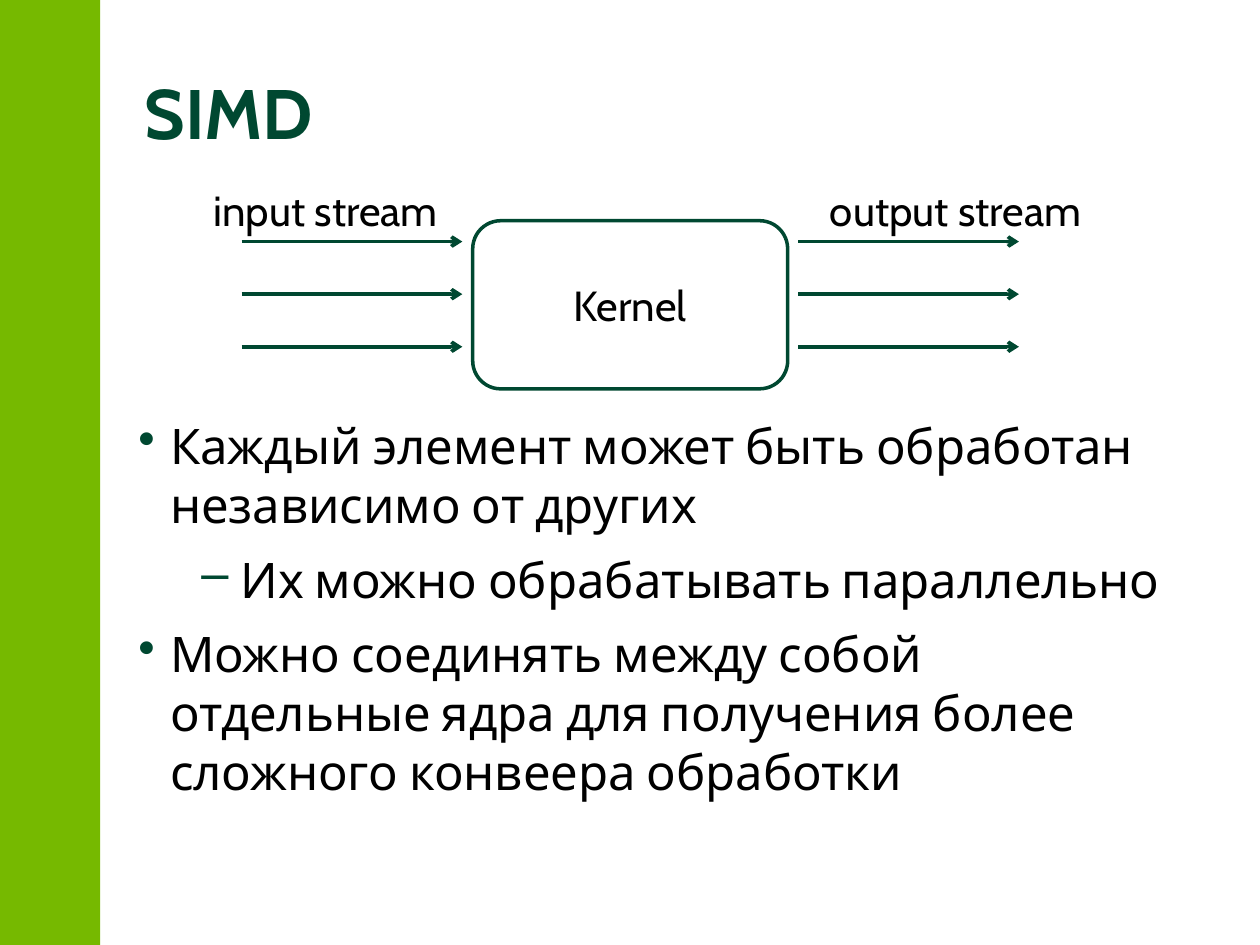
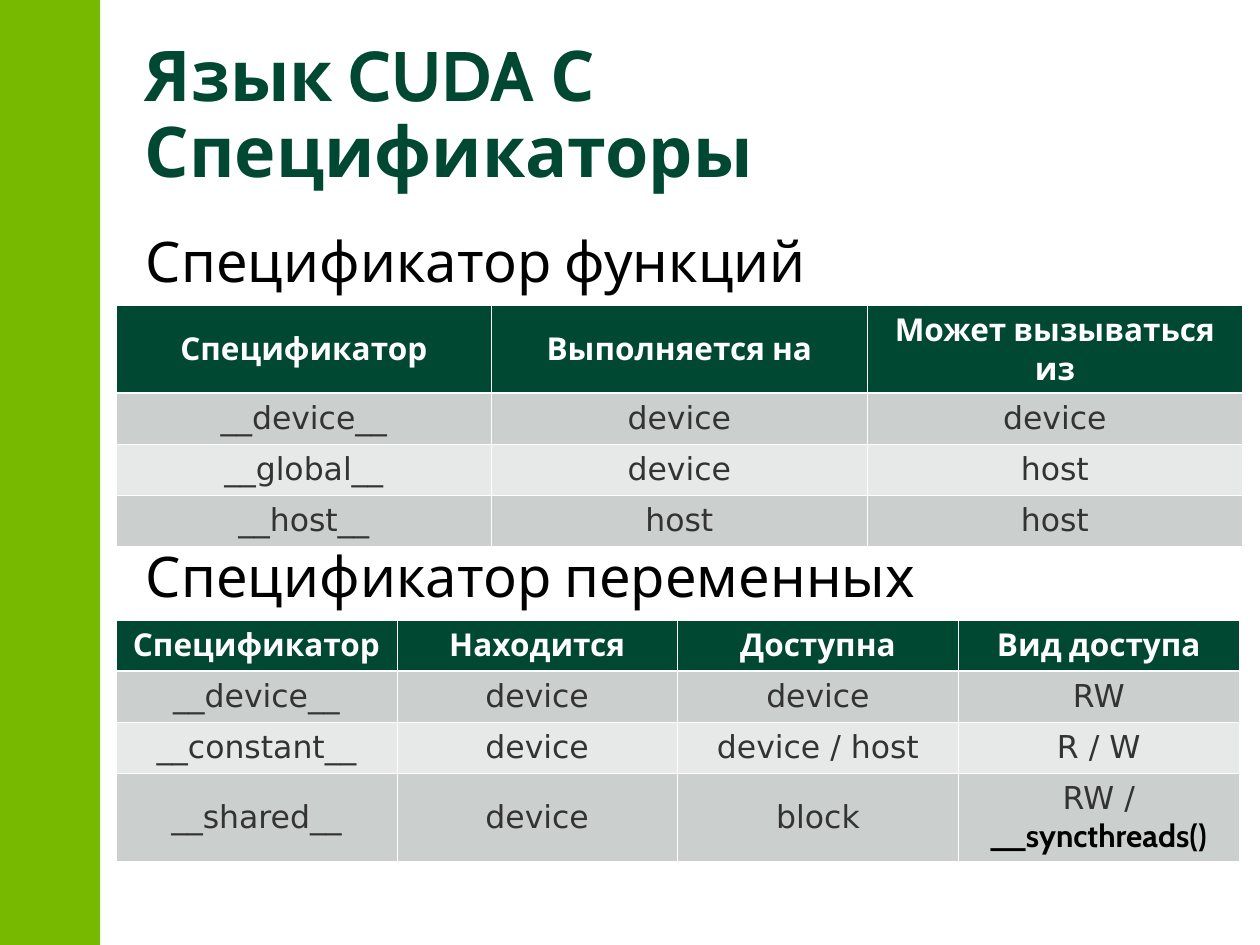
from dataclasses import dataclass

from lxml import etree
from pptx import Presentation
from pptx.dml.color import RGBColor
from pptx.enum.shapes import MSO_CONNECTOR, MSO_SHAPE
from pptx.enum.text import MSO_ANCHOR, PP_ALIGN
from pptx.oxml.ns import qn
from pptx.util import Cm, Pt

STRAIGHT = MSO_CONNECTOR.STRAIGHT
RECTANGLE, ROUNDED = MSO_SHAPE.RECTANGLE, MSO_SHAPE.ROUNDED_RECTANGLE
MIDDLE, CENTER = MSO_ANCHOR.MIDDLE, PP_ALIGN.CENTER


@dataclass(frozen=True)
class Theme:
    band: str = "76B900"
    dark: str = "004831"
    white: str = "FFFFFF"
    black: str = "000000"
    cell_text: str = "333333"
    stripes: tuple = ("CBCFCD", "E7E9E8")
    font: str = "Cabin"
    cell_font: str = "DejaVu Sans"
    title_size: int = 40
    heading_size: int = 32
    body_size: int = 28
    label_size: int = 24
    table_size: int = 18
    line: float = 2
    thin_border: float = 0.45
    thick_border: float = 1.47


THEME = Theme()


def style(size, color=THEME.black, bold=False, name=THEME.font):
    return {"size": Pt(size), "bold": bold, "name": name, "color": color}


TITLE = style(THEME.title_size, THEME.dark, True)
HEADING = style(THEME.heading_size)
BODY = style(THEME.body_size)
LABEL = style(THEME.label_size)
TABLE_HEAD = style(THEME.table_size, THEME.white, True)
TABLE_CELL = style(THEME.table_size, THEME.cell_text, name=THEME.cell_font)
TABLE_CALL = style(THEME.table_size, bold=True)

# Bullet levels: sign, left margin and hanging indent in cm
LEVELS = (("•", 0.64, -0.64), ("–", 2.06, -0.79))

SIMD_TITLE = "SIMD"
SIMD_POINTS = [
    (0, "Каждый элемент может быть обработан независимо от других"),
    (1, "Их можно обрабатывать параллельно"),
    (0, "Можно соединять между собой отдельные ядра для получения более "
        "сложного конвеера обработки"),
]
# Streams: label, label left, label width, arrow left (cm)
STREAMS = [("input stream", 3.6, 5.93, 4.87), ("output stream", 16.09, 6.35, 16.09)]
KERNEL = "Kernel"
ARROW_LENGTH, ARROW_TOP, ARROW_STEP, ARROW_COUNT = 4.45, 4.87, 1.06, 3

SPECIFIERS_TITLE = "Язык CUDA С\vСпецификаторы"
# Sections: heading, heading top, table top, column width, row heights (cm), rows
SECTIONS = [
    ("Спецификатор функций", 4.45, 6.15, 7.57, (1.03, 1.03, 1.03, 1.03), [
        ("Спецификатор", "Выполняется на", "Может вызываться из"),
        ("__device__", "device", "device"),
        ("__global__", "device", "host"),
        ("__host__", "host", "host"),
    ]),
    ("Спецификатор переменных", 10.8, 12.5, 5.66, (1.03, 1.03, 1.03, 1.53), [
        ("Спецификатор", "Находится", "Доступна", "Вид доступа"),
        ("__device__", "device", "device", "RW"),
        ("__constant__", "device", "device / host", "R / W"),
        ("__shared__", "device", "block", ("RW / ", "__syncthreads()")),
    ]),
]


def rgb(color):
    return RGBColor.from_string(color)


def child(parent, tag, **attributes):
    return etree.SubElement(parent, qn(tag), attributes)


def format_span(span, look):
    for key, value in look.items():
        if key == "color":
            span.font.color.rgb = rgb(value)
        else:
            setattr(span.font, key, value)


def write(para, text, look, **settings):
    """Fill a paragraph with one style; a vertical tab breaks the line."""
    para.text = text
    for span in para.runs:
        format_span(span, look)
    for key, value in settings.items():
        setattr(para, key, value)


def add_text(slide, place, anchor=None):
    frame = slide.shapes.add_textbox(*map(Cm, place)).text_frame
    frame.word_wrap = True
    if anchor is not None:
        frame.vertical_anchor = anchor
    return frame


def add_box(slide, kind, place, fill, outline=None):
    box = slide.shapes.add_shape(kind, *map(Cm, place))
    box.shadow.inherit = False
    box.fill.solid()
    box.fill.fore_color.rgb = rgb(fill)
    if outline:
        box.line.color.rgb = rgb(outline)
        box.line.width = Pt(THEME.line)
    else:
        box.line.fill.background()
    return box


def add_label(slide, place, text, outline=None):
    frame = add_box(slide, ROUNDED, place, THEME.white, outline).text_frame
    frame.word_wrap = True
    frame.vertical_anchor = MIDDLE
    write(frame.paragraphs[0], text, LABEL, alignment=CENTER)


def add_arrow(slide, left, top):
    ends = map(Cm, (left, top, left + ARROW_LENGTH, top))
    arrow = slide.shapes.add_connector(STRAIGHT, *ends)
    arrow.line.color.rgb = rgb(THEME.dark)
    arrow.line.width = Pt(THEME.line)
    child(arrow.line._get_or_add_ln(), "a:tailEnd", type="arrow")
    child(arrow._element.spPr, "a:effectLst")


def add_points(slide, place, points):
    frame = add_text(slide, place)
    for index, (level, text) in enumerate(points):
        para = frame.add_paragraph() if index else frame.paragraphs[0]
        sign, margin, indent = LEVELS[level]
        properties = para._p.get_or_add_pPr()
        properties.set("marL", str(Cm(margin)))
        properties.set("indent", str(Cm(indent)))
        child(child(properties, "a:buClr"), "a:srgbClr", val=THEME.dark)
        child(properties, "a:buChar", char=sign)
        write(para, text, BODY, level=level, space_after=Pt(3),
              space_before=Pt(6 if index else 0))


def add_borders(cell, row):
    widths = {side: THEME.thin_border for side in "LRTB"}
    if row < 2:
        widths["T" if row else "B"] = THEME.thick_border
    properties = cell._tc.get_or_add_tcPr()
    for side, width in widths.items():
        line = child(properties, f"a:ln{side}", w=str(Pt(width)))
        child(child(line, "a:solidFill"), "a:srgbClr", val=THEME.white)


def add_table(slide, top, column_width, heights, rows):
    count = len(rows[0])
    place = (2.34, top, column_width * count, sum(heights))
    table = slide.shapes.add_table(len(rows), count, *map(Cm, place)).table
    for column in table.columns:
        column.width = Cm(column_width)
    for row, (height, values) in enumerate(zip(heights, rows)):
        table.rows[row].height = Cm(height)
        fill = THEME.stripes[(row - 1) % 2] if row else THEME.dark
        for column, value in enumerate(values):
            cell = table.cell(row, column)
            add_borders(cell, row)
            cell.fill.solid()
            cell.fill.fore_color.rgb = rgb(fill)
            cell.vertical_anchor = MIDDLE
            text, *calls = (value,) if isinstance(value, str) else value
            para = cell.text_frame.paragraphs[0]
            write(para, text, TABLE_CELL if row else TABLE_HEAD, alignment=CENTER)
            for call in calls:
                span = para.add_run()
                span.text = call
                format_span(span, TABLE_CALL)


def add_slide(deck, title):
    slide = deck.slides.add_slide(deck.slide_layouts[6])
    add_box(slide, RECTANGLE, (0, 0, 2.02, 19.05), THEME.band)
    frame = add_text(slide, (2.67, 0.76, 21.77, 3.2), MIDDLE)
    write(frame.paragraphs[0], title, TITLE, line_spacing=0.9)
    return slide


def build_simd(deck):
    slide = add_slide(deck, SIMD_TITLE)
    add_points(slide, (2.54, 8.26, 21.77, 8.69), SIMD_POINTS)
    add_label(slide, (9.53, 4.45, 6.35, 3.39), KERNEL, THEME.dark)
    for label, label_left, label_width, arrow_left in STREAMS:
        for index in range(ARROW_COUNT):
            add_arrow(slide, arrow_left, ARROW_TOP + index * ARROW_STEP)
        add_label(slide, (label_left, 3.81, label_width, 0.85), label)


def build_specifiers(deck):
    slide = add_slide(deck, SPECIFIERS_TITLE)
    for heading, heading_top, *table in SECTIONS:
        add_table(slide, *table)
        frame = add_text(slide, (2.69, heading_top, 22.71, 2.16))
        write(frame.paragraphs[0], heading, HEADING)


def main():
    deck = Presentation()
    deck.slide_width, deck.slide_height = Cm(25.4), Cm(19.05)
    build_simd(deck)
    build_specifiers(deck)
    deck.save("out.pptx")


if __name__ == "__main__":
    main()
